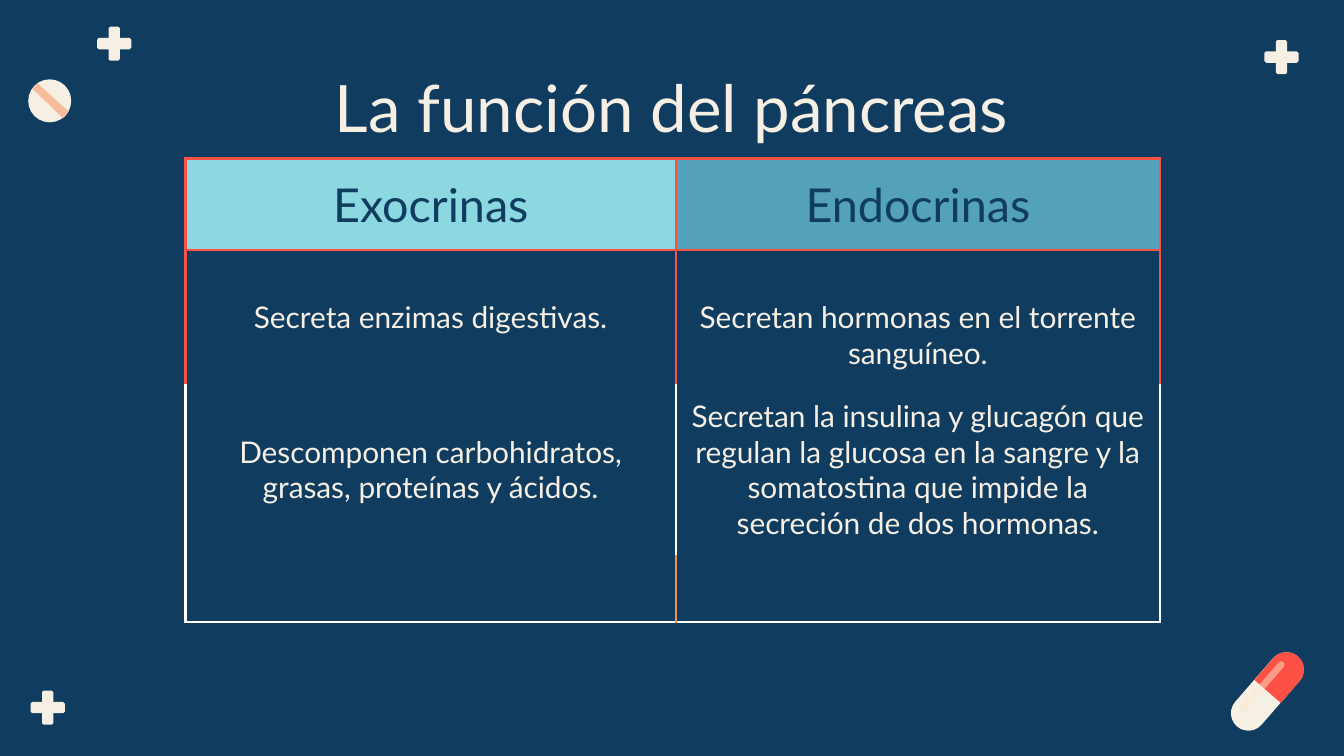
"""Slide on the exocrine and endocrine roles of the pancreas, laid on a grid 100 columns wide."""
from dataclasses import dataclass
from typing import Optional

from lxml import etree
from pptx import Presentation
from pptx import util as u
from pptx.dml.color import RGBColor
from pptx.enum import shapes, text
from pptx.oxml import ns


@dataclass(frozen=True)
class Theme:
    navy: str = "103C60"
    cream: str = "F6EFE4"
    peach: str = "F6BC9B"
    red: str = "FE5145"
    shine: str = "FAE9CD"
    aqua: str = "8CD8E1"
    teal: str = "53A2B9"
    white: str = "FFFFFF"
    orange: str = "F08F58"
    font: str = "Lato"
    title: int = 35
    heading: int = 25
    body: int = 16


@dataclass(frozen=True)
class Line:
    color: str
    points: float = 1.5


@dataclass(frozen=True)
class Row:
    height: float
    texts: tuple = ("", "")
    size: int = 16
    ink: str = "F6EFE4"
    fills: tuple = (None, None)
    drops: tuple = (0, 0)
    outer: Optional[Line] = None
    inner: Optional[Line] = None
    top: Optional[Line] = None
    bottom: Optional[Line] = None


@dataclass(frozen=True)
class Capsule:
    preset: int
    x: float
    y: float
    width: float
    length: float
    color: str
    corners: tuple
    turn: float = 0
    alpha: int = 100


THEME = Theme()
COLUMNS, ROWS = 100, 56.25
RED, WHITE, ORANGE = Line(THEME.red), Line(THEME.white), Line(THEME.orange, 1)
PILL_TURN = 41
PLUS_CENTRES = ((8.5, 3.25), (3.55, 52.65), (95.35, 4.25))
PLUS_REACH, PLUS_ARM, PLUS_BEVEL = 1.27, 0.42, 0.12
STRIPE = ((2.8, 6.2), (5.1, 8.3), (4.9, 8.6), (4.7, 8.8), (2.4, 6.6), (2.6, 6.4))
TABLET = Capsule(shapes.MSO_SHAPE.OVAL, 3.7, 7.5, 3.2, 3.2, THEME.cream, ())
PILL = (
    Capsule(shapes.MSO_SHAPE.ROUNDED_RECTANGLE, 94.3, 51.45, 2.6, 6.9,
            THEME.cream, (0.5,), PILL_TURN),
    Capsule(shapes.MSO_SHAPE.ROUND_2_SAME_RECTANGLE, 95.45, 50.15, 2.6, 3.45,
            THEME.red, (0.5, 0), PILL_TURN),
    Capsule(shapes.MSO_SHAPE.ROUNDED_RECTANGLE, 93.9, 51.1, 0.5, 4.85,
            THEME.shine, (0.5,), PILL_TURN, 49),
)
TABLE_WIDTHS = (36.5, 36)
TABLE_ROWS = (
    Row(6.8, ("Exocrinas", "Endocrinas"), THEME.heading, THEME.navy,
        (THEME.aqua, THEME.teal), outer=RED, inner=RED, top=RED, bottom=RED),
    Row(10, ("Secreta enzimas digestivas.",
             "Secretan hormonas en el torrente sanguíneo."),
        drops=(0, 2.67), outer=RED, inner=RED, top=RED),
    Row(12.6, ("Descomponen carbohidratos, grasas, proteínas y ácidos.",
               "Secretan la insulina y glucagón que regulan la glucosa en la sangre "
               "y la somatostina que impide la secreción de dos hormonas."),
        outer=WHITE, inner=WHITE),
    Row(4.8, outer=WHITE, inner=ORANGE, bottom=WHITE),
)


def grid(cells: float) -> int:
    """Convert grid cells to slide units."""
    return u.Inches(cells * 10 / COLUMNS)


def write(frame, words: str, *, size: int, color: str) -> None:
    """Write one centred, wrapped paragraph."""
    frame.word_wrap = True
    paragraph = frame.paragraphs[0]
    paragraph.alignment = text.PP_ALIGN.CENTER
    run = paragraph.add_run()
    run.text = words
    run.font.name = THEME.font
    run.font.size = u.Pt(size)
    run.font.color.rgb = RGBColor.from_string(color)


def paint(shape, color: str, alpha: int = 100) -> None:
    """Give a shape a flat fill without line or shadow."""
    shape.shadow.inherit = False
    shape.line.fill.background()
    shape.fill.solid()
    shape.fill.fore_color.rgb = RGBColor.from_string(color)
    if alpha < 100:
        tint = shape.fill._xPr.find(".//" + ns.qn("a:srgbClr"))
        etree.SubElement(tint, ns.qn("a:alpha"), val=str(alpha * 1000))


def draw_polygon(slide, points, color: str) -> None:
    """Draw a closed outline through grid points."""
    corners = [(grid(x), grid(y)) for x, y in points]
    builder = slide.shapes.build_freeform(*corners[0])
    builder.add_line_segments(corners[1:], close=True)
    paint(builder.convert_to_shape(), color)


def draw_plus(slide, x: float, y: float) -> None:
    """Draw a bevelled plus sign by turning one arm four times."""
    reach, arm, bevel = PLUS_REACH, PLUS_ARM, PLUS_BEVEL
    turned = [(-arm, -arm), (-arm, bevel - reach), (bevel - arm, -reach),
              (arm - bevel, -reach), (arm, bevel - reach)]
    points = []
    for _ in range(4):
        points += [(x + dx, y + dy) for dx, dy in turned]
        turned = [(-dy, dx) for dx, dy in turned]
    draw_polygon(slide, points, THEME.cream)


def draw_capsule(slide, part: Capsule) -> None:
    """Draw a rounded medicine part about its centre."""
    shape = slide.shapes.add_shape(
        part.preset, grid(part.x - part.width / 2), grid(part.y - part.length / 2),
        grid(part.width), grid(part.length))
    for index, corner in enumerate(part.corners):
        shape.adjustments[index] = corner
    shape.rotation = part.turn
    paint(shape, part.color, part.alpha)


def rule_cell(cell, edges: dict) -> None:
    """Set the four borders of a cell."""
    properties = cell._tc.get_or_add_tcPr()
    for side in "LRTB":
        line = edges[side]
        border = etree.SubElement(properties, ns.qn(f"a:ln{side}"))
        if line is None:
            etree.SubElement(border, ns.qn("a:noFill"))
        else:
            border.set("w", str(u.Pt(line.points)))
            fill = etree.SubElement(border, ns.qn("a:solidFill"))
            etree.SubElement(fill, ns.qn("a:srgbClr"), val=line.color)


def draw_table(slide, left: float, top: float) -> None:
    """Draw the comparison table."""
    table = slide.shapes.add_table(
        len(TABLE_ROWS), len(TABLE_WIDTHS), grid(left), grid(top),
        grid(sum(TABLE_WIDTHS)), grid(sum(row.height for row in TABLE_ROWS))).table
    table.first_row = table.horz_banding = False
    for column, width in zip(table.columns, TABLE_WIDTHS):
        column.width = grid(width)
    for index, row in enumerate(TABLE_ROWS):
        table.rows[index].height = grid(row.height)
        sides = ((row.outer, row.inner), (row.inner, row.outer))
        for column, (start, end) in enumerate(sides):
            cell = table.cell(index, column)
            rule_cell(cell, {"L": start, "R": end, "T": row.top, "B": row.bottom})
            cell.vertical_anchor = text.MSO_ANCHOR.MIDDLE
            cell.margin_left = cell.margin_right = cell.margin_bottom = grid(1)
            cell.margin_top = grid(1 + row.drops[column])
            if row.fills[column]:
                cell.fill.solid()
                cell.fill.fore_color.rgb = RGBColor.from_string(row.fills[column])
            else:
                cell.fill.background()
            if row.texts[column]:
                write(cell.text_frame, row.texts[column], size=row.size, color=row.ink)


def main() -> None:
    """Build and save the slide."""
    deck = Presentation()
    deck.slide_width, deck.slide_height = grid(COLUMNS), grid(ROWS)
    slide = deck.slides.add_slide(deck.slide_layouts[6])
    slide.background.fill.solid()
    slide.background.fill.fore_color.rgb = RGBColor.from_string(THEME.navy)
    for centre in PLUS_CENTRES:
        draw_plus(slide, *centre)
    draw_capsule(slide, TABLET)
    draw_polygon(slide, STRIPE, THEME.peach)
    for part in PILL:
        draw_capsule(slide, part)
    title = slide.shapes.add_textbox(grid(7.8), grid(4), grid(84.4), grid(6.3)).text_frame
    title.margin_left = title.margin_right = title.margin_top = title.margin_bottom = grid(1)
    write(title, "La función del páncreas", size=THEME.title, color=THEME.cream)
    draw_table(slide, 13.8, 11.8)
    deck.save("out.pptx")


if __name__ == "__main__":
    main()
